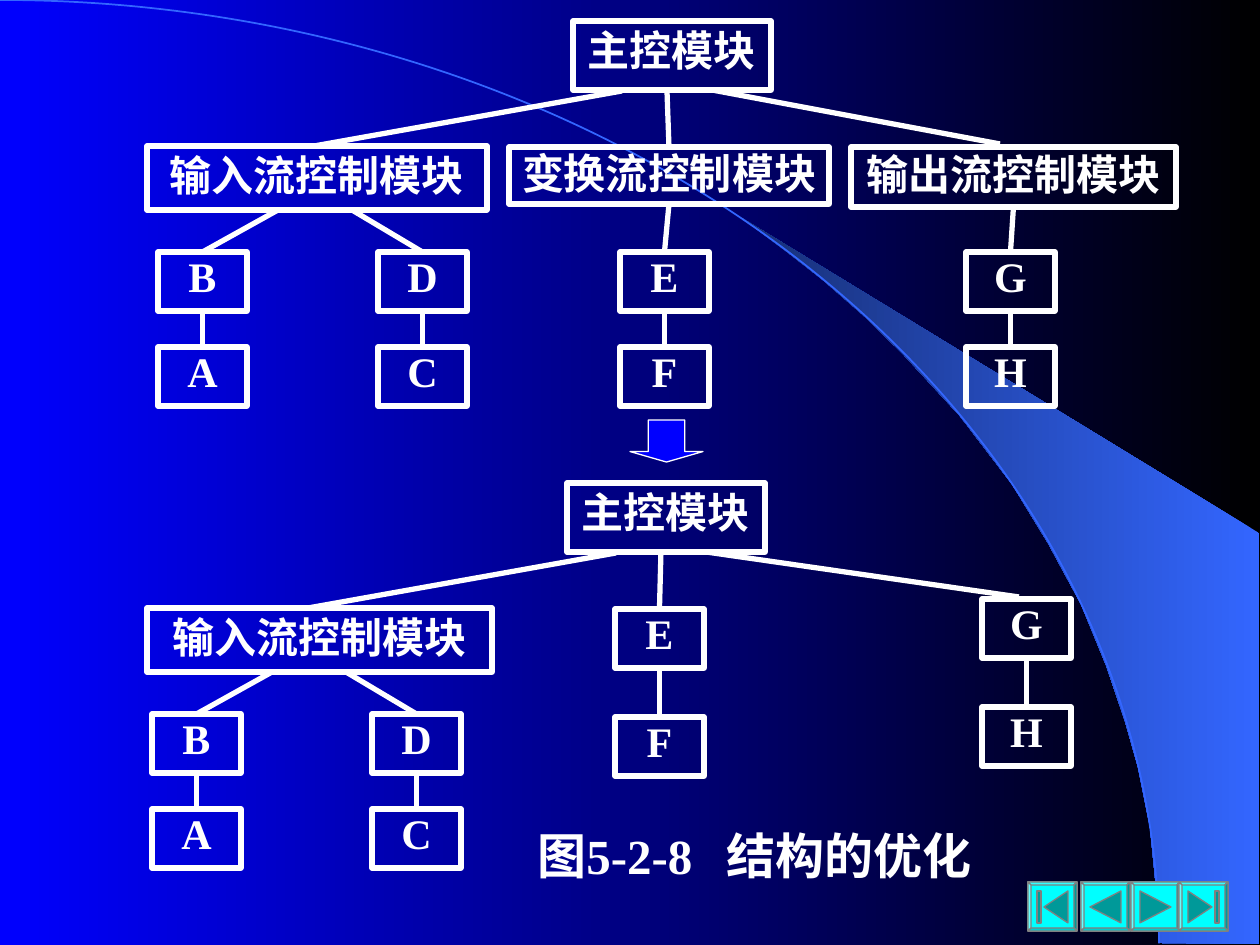
from copy import deepcopy

from lxml.etree import SubElement
from pptx import Presentation
from pptx.dml.color import RGBColor as RGB
from pptx.enum.shapes import MSO_CONNECTOR as CONN, MSO_SHAPE as SHAPE
from pptx.enum.text import MSO_ANCHOR as ANCHOR, MSO_AUTO_SIZE as AUTO, PP_ALIGN as ALIGN
from pptx.oxml.ns import qn
from pptx.util import Pt

SCALE = 914400 / 126
COLORS = {"white": "FFFFFF", "black": "000000", "blue": "0000FF", "sky": "3366FF",
          "navy": "172F75", "cyan": "00FFFF", "gray": "808080"}
FONT = "Times New Roman"
SHADES = ["norm", "lightenLess", "darken", "darkenLess", "lighten", "darken", "darken"]


def px(*values):
    return [round(v * SCALE) for v in values]


def rgb(name):
    return RGB.from_string(COLORS[name])


class Deck:
    def __init__(self, width, height):
        self.prs = Presentation()
        self.prs.slide_width, self.prs.slide_height = px(width, height)
        self.s = self.prs.slides.add_slide(self.prs.slide_layouts[1])
        title = self.s.shapes.title.element
        title.getparent().remove(title)

    def gradient(self, fill, start, end):
        fill.gradient()
        fill.gradient_angle = 180
        for stop, name in zip(fill.gradient_stops, (start, end)):
            stop.color.rgb = rgb(name)

    def style(self, sp, fill, line, width):
        sp.shadow.inherit = False
        if fill:
            sp.fill.solid()
            sp.fill.fore_color.rgb = rgb(fill)
        else:
            sp.fill.background()
        if line:
            sp.line.color.rgb = rgb(line)
            sp.line.width = Pt(width)
        else:
            sp.line.fill.background()
        return sp

    def font(self, p, size):
        for r in p.runs:
            r.font.name, r.font.size, r.font.bold = FONT, Pt(size), True
            r.font.color.rgb = rgb("white")

    def shape(self, kind, x, y, w, h, fill=None, line="white", width=0.75):
        return self.style(self.s.shapes.add_shape(kind, *px(x, y, w, h)), fill, line, width)

    def box(self, text, x, y, w, h, spacing=0.72):
        sp = self.shape(SHAPE.RECTANGLE, x, y, w, h, width=3)
        tf = sp.text_frame
        tf.margin_left = tf.margin_top = tf.margin_right = tf.margin_bottom = 0
        tf.vertical_anchor = ANCHOR.MIDDLE
        tf.text = text
        p = tf.paragraphs[0]
        p.alignment, p.line_spacing = ALIGN.CENTER, spacing
        self.font(p, 24)
        return sp

    def link(self, start, end):
        a = start if isinstance(start, tuple) else (0, 0)
        b = end if isinstance(end, tuple) else (0, 0)
        line = self.s.shapes.add_connector(CONN.STRAIGHT, *px(*a, *b))
        if start is not a:
            line.begin_connect(start, 2)
        if end is not b:
            line.end_connect(end, 0)
        line.line.color.rgb = rgb("white")
        line.line.width = Pt(3)
        SubElement(line._element.spPr, qn("a:effectLst"))

    def pair(self, upper, lower, x, y, step=95):
        top, bottom = [self.box(t, x, y + i * step, 89, 59) for i, t in enumerate((upper, lower))]
        self.link(top, bottom)
        return top

    def outline(self, contours, fill, line=None, width=0.75):
        first, *rest = contours
        fb = self.s.shapes.build_freeform(*first[0], scale=SCALE)
        fb.add_line_segments(first[1:], close=True)
        for points in rest:
            fb.move_to(*points[0])
            fb.add_line_segments(points[1:], close=True)
        return self.style(fb.convert_to_shape(), fill, line, width)

    def button(self, x, y, glyphs):
        size, edge = 49, 3
        outer = [(0, 0), (size, 0), (size, size), (0, size)]
        inner = [(edge, edge), (size - edge, edge), (size - edge, size - edge), (edge, size - edge)]
        bevels = [[outer[i], outer[j], inner[j], inner[i]] for i, j in ((0, 1), (1, 2), (2, 3), (3, 0))]
        contours = [[(x + a, y + b) for a, b in c] for c in [outer, *bevels, *glyphs]]
        sp = self.outline(contours, "cyan", "gray")
        whole = next(sp.element.iter(qn("a:path")))
        part = None
        shades = iter(SHADES)
        for step in list(whole):
            if step.tag == qn("a:moveTo"):
                part = deepcopy(whole)
                for child in list(part):
                    part.remove(child)
                part.set("fill", next(shades))
                whole.addprevious(part)
            part.append(step)
        whole.getparent().remove(whole)

    def caption(self, text, x, y, w, h, tab):
        sp = self.s.placeholders[1]
        sp.left, sp.top, sp.width, sp.height = px(x, y, w, h)
        tf = sp.text_frame
        tf.word_wrap, tf.auto_size, tf.vertical_anchor = True, AUTO.NONE, ANCHOR.TOP
        tf.text = text
        p = tf.paragraphs[0]
        p.space_before = Pt(0)
        pPr = p._p.get_or_add_pPr()
        pPr.set("marL", "0")
        pPr.set("indent", "0")
        SubElement(pPr, qn("a:buNone"))
        tabs = SubElement(pPr, qn("a:tabLst"))
        SubElement(tabs, qn("a:tab"), pos=str(px(tab)[0]), algn="l")
        self.font(p, 28)

    def tree(self, dx, dy, input_width, right_end):
        self.box("主控模块", 573 + dx, 21 + dy, 198, 69)
        self.box("输入流控制模块", 147, 146 + dy, input_width, 64, 0.9)
        self.link((622 + dx, 91 + dy), (314 + dx, 146 + dy))
        for upper, lower, x, start in (("B", "A", 158, 278), ("D", "C", 378, 352)):
            child = self.pair(upper, lower, x + dx, 252 + dy)
            self.link((start + dx, 210 + dy), child)
        self.link((712 + dx, 90 + dy), right_end)


def main():
    deck = Deck(1260, 945)
    deck.gradient(deck.s.background.fill, "black", "blue")
    beam = [(1159, 943), (1259, 944), (1259, 533), (742, 218), (786, 251), (823, 280),
            (863, 315), (902, 353), (960, 416), (1012, 484), (1048, 543), (1081, 604),
            (1106, 665), (1125, 721), (1138, 767), (1150, 827), (1155, 877)]
    deck.gradient(deck.outline([beam], "sky").fill, "sky", "navy")
    deck.shape(SHAPE.ARC, -1159, 0, 2318, 1887, line="sky", width=1)

    deck.caption("图5-2-8\t结构的优化", 525, 819, 494, 105, 202)

    deck.tree(0, 0, 340, (1000, 144))
    transform = deck.box("变换流控制模块", 509, 147, 320, 57, 0.9)
    output = deck.box("输出流控制模块", 851, 147, 325, 60, 0.9)
    deck.link((667, 90), transform)
    deck.link(transform, deck.pair("E", "F", 620, 252))
    deck.link(output, deck.pair("G", "H", 966, 252))

    deck.shape(SHAPE.DOWN_ARROW, 630, 420, 73, 42, fill="blue").adjustments[1] = 0.25

    deck.tree(-6, 462, 345, (1019, 597))
    deck.link((661, 552), deck.pair("E", "F", 615, 609, 108))
    deck.pair("G", "H", 982, 599, 108)

    first = [[(16, 25), (40, 9), (40, 41)], [(9, 9), (13, 9), (13, 41), (9, 41)]]
    back = [[(9, 25), (40, 9), (40, 41)]]
    forward, last = [[[(49 - a, b) for a, b in c] for c in glyphs] for glyphs in (back, first)]
    for x, glyphs in zip((1028, 1081, 1131, 1179), (first, back, forward, last)):
        deck.button(x, 882, glyphs)
    deck.prs.save("out.pptx")


if __name__ == "__main__":
    main()
